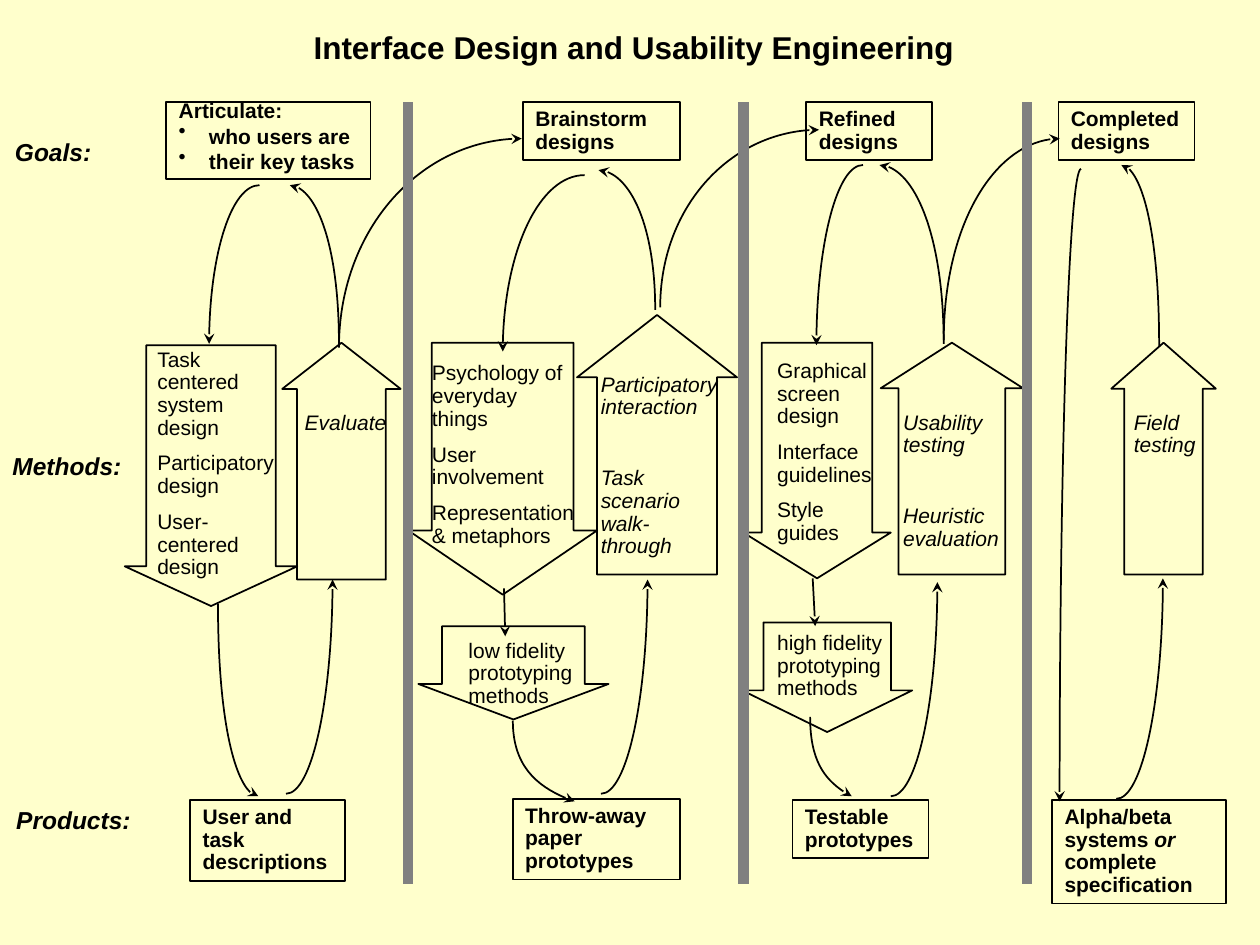
from dataclasses import dataclass

from lxml.etree import SubElement
from pptx import Presentation
from pptx.dml.color import RGBColor
from pptx.enum.shapes import MSO_CONNECTOR, MSO_SHAPE
from pptx.enum.text import MSO_ANCHOR, MSO_AUTO_SIZE, PP_ALIGN
from pptx.oxml.ns import qn
from pptx.util import Inches, Pt

RECT = MSO_SHAPE.RECTANGLE
DOWN = MSO_SHAPE.DOWN_ARROW
UP = MSO_SHAPE.UP_ARROW
STRAIGHT = MSO_CONNECTOR.STRAIGHT
TOP = MSO_ANCHOR.TOP
LEFT = PP_ALIGN.LEFT
GROW = MSO_AUTO_SIZE.SHAPE_TO_FIT_TEXT


@dataclass(frozen=True)
class Theme:
    """Hold the colours, font and sizes."""
    paper: RGBColor = RGBColor(0xFF, 0xFF, 0xCC)
    ink: RGBColor = RGBColor(0, 0, 0)
    bar: RGBColor = RGBColor(0x80, 0x80, 0x80)
    font: str = "Arial"
    title: int = 18
    label: int = 14
    body: int = 12
    thin: int = 1
    thick: int = 6
    gap: float = 7.5
    wide: float = 27.5


THEME = Theme()

GOALS = [
    (4.15, 0.81, 1.25, 0.46, "Brainstorm designs"),
    (6.4, 0.81, 1, 0.46, "Refined designs"),
    (8.4, 0.81, 1.08, 0.46, "Completed designs"),
]
PRODUCTS = [
    (1.51, 6.35, 1.23, 0.64, "User and task descriptions"),
    (4.07, 6.34, 1.33, 0.64, "Throw-away paper prototypes"),
    (6.29, 6.35, 1.08, 0.46, "Testable prototypes"),
    (8.35, 6.35, 1.38, 0.82, "Alpha/beta systems *or* complete specification"),
]
LABELS = [
    (0.02, 1.04, 0.81, "Goals:"),
    (0, 3.53, 1.07, "Methods:"),
    (0.03, 6.34, 1.11, "Products:"),
]
INPUTS = [
    (1.15, 2.72, 1.19, 1.93, ["Task centered system design",
                              "Participatory design", "User-centered design"]),
    (3.33, 2.83, 1.4, 1.85, ["Psychology of everyday \vthings",
                             "User involvement", "Representation & metaphors"]),
    (3.62, 5.03, 1.04, 0.64, ["low fidelity prototyping methods"]),
    (6.07, 2.81, 1.23, 1.57, ["Graphical screen design",
                              "Interface guidelines", "Style \vguides"]),
    (6.07, 4.97, 1.13, 0.64, ["high fidelity prototyping methods"]),
]
TESTS = [
    (2.32, 3.22, 0.92, 0.28, ["Evaluate"]),
    (4.67, 2.92, 1.17, 1.57, ["Participatory interaction",
                              "Task scenario walk-\vthrough"]),
    (7.07, 3.22, 0.96, 1.21, ["Usability testing", "Heuristic evaluation"]),
    (8.9, 3.22, 0.85, 0.46, ["Field testing"]),
]
BLOCKS = [
    (DOWN, 0.99, 2.74, 1.37, 2.07, 0.23),
    (UP, 2.24, 2.72, 0.94, 1.88, 0.39),
    (DOWN, 3.24, 2.72, 1.5, 2, 0.34),
    (DOWN, 3.32, 4.97, 1.51, 0.74, 0.38),
    (UP, 4.58, 2.5, 1.27, 2.06, 0.39),
    (DOWN, 5.9, 2.72, 1.17, 1.87, 0.31),
    (DOWN, 5.89, 4.94, 1.35, 0.87, 0.38),
    (UP, 6.99, 2.72, 1.13, 1.84, 0.32),
    (UP, 8.82, 2.72, 0.83, 1.84, 0.44),
]
TO_FLAT = [
    (4.07, 5.72, 4.56, 6.36, 0.09), (6.43, 5.69, 6.76, 6.32, 0.09),
    (1.73, 4.79, 2.05, 6.32, 0), (2.69, 2.73, 2.3, 1.47, 0),
    (2.69, 2.76, 4.14, 1.1, 0), (5.2, 2.46, 4.75, 1.35, 0),
    (5.24, 2.44, 6.5, 1.03, 0), (7.49, 2.73, 6.98, 1.31, 0),
    (7.49, 2.7, 8.41, 1.1, 0), (9.2, 2.75, 8.9, 1.31, 0),
]
TO_STEEP = [
    (1.66, 2.73, 2.06, 1.47), (2.64, 4.6, 2.27, 6.3),
    (3.99, 2.79, 4.64, 1.39), (5.14, 4.6, 4.77, 6.3),
    (6.48, 2.74, 6.85, 1.31), (7.44, 4.62, 7.07, 6.32),
    (8.41, 6.36, 8.58, 1.34), (9.23, 4.59, 8.86, 6.34),
]
DROPS = [(4, 4.67, 4.01, 5.05), (6.45, 4.59, 6.47, 4.97)]
BARS = [3.24, 5.9, 8.15]


def write(shape, texts, size=THEME.body, bold=False, slant=False,
          lead=0.9, gap=THEME.gap, wrap=True):
    """Fill a shape with paragraphs; stars flip the slant."""
    frame = shape.text_frame
    frame.word_wrap = wrap
    frame.auto_size = GROW
    frame.vertical_anchor = TOP
    for n, text in enumerate(texts):
        para = frame.paragraphs[0] if n == 0 else frame.add_paragraph()
        para.alignment = LEFT
        para.line_spacing = lead
        para.space_before = Pt(gap)
        parts = text.split("*")
        para.text = parts[0]
        for part in parts[1:]:
            para.add_run().text = part
        for k, run in enumerate(para.runs):
            font = run.font
            font.name, font.size = THEME.font, Pt(size)
            font.bold = bold
            font.italic = slant or (len(parts) > 1 and k % 2 == 1)
            font.color.rgb = THEME.ink


def note(slide, x, y, w, h, texts, **style):
    """Add a plain text box."""
    box = slide.shapes.add_textbox(Inches(x), Inches(y), Inches(w), Inches(h))
    write(box, texts, **style)


def trace(shape):
    """Leave only a thin outline."""
    shape.shadow.inherit = False
    shape.fill.background()
    shape.line.color.rgb = THEME.ink
    shape.line.width = Pt(THEME.thin)


def block(slide, kind, x, y, w, h):
    """Add an outlined preset shape."""
    shape = slide.shapes.add_shape(kind, Inches(x), Inches(y), Inches(w), Inches(h))
    trace(shape)
    return shape


def card(slide, x, y, w, h, texts, lead=0.9):
    """Add an outlined box with bold text."""
    shape = block(slide, RECT, x, y, w, h)
    write(shape, texts, bold=True, lead=lead)
    return shape


def dot(para):
    """Give a paragraph a bullet."""
    props = para._p.get_or_add_pPr()
    props.set("marL", str(Inches(0.24)))
    props.set("indent", str(-Inches(0.24)))
    SubElement(props, qn("a:buChar")).set("char", "•")


def tip(shape):
    """Put a stealth head at the end of a line."""
    line = shape._element.spPr.get_or_add_ln()
    SubElement(line, qn("a:tailEnd")).set("type", "stealth")


def arc(slide, x, y, fx, fy, lean=0, flip=False):
    """Draw a quarter arc from its steep end to its flat end."""
    bend = 0.55
    pts = [(x, y), (x, y + bend * (fy - y)),
           (fx - bend * (fx - x), fy - lean), (fx, fy)]
    if flip:
        pts.reverse()
    pts = [(Inches(a), Inches(b)) for a, b in pts]
    pen = slide.shapes.build_freeform(*pts[0])
    pen.add_line_segments(pts[1:], close=False)
    shape = pen.convert_to_shape()
    track = shape._element.find(".//" + qn("a:path"))
    legs = track.findall(qn("a:lnTo"))
    curve = SubElement(track, qn("a:cubicBezTo"))
    for leg in legs:
        curve.append(leg[0])
        track.remove(leg)
    trace(shape)
    tip(shape)


def rule(slide, x, y, ex, ey, color, width):
    """Draw a straight line."""
    line = slide.shapes.add_connector(STRAIGHT, Inches(x), Inches(y), Inches(ex), Inches(ey))
    line.line.color.rgb = color
    line.line.width = Pt(width)
    SubElement(line._element.spPr, qn("a:effectLst"))
    return line


def main():
    """Build and save the slide."""
    deck = Presentation()
    deck.slide_width, deck.slide_height = Inches(10), Inches(7.5)
    slide = deck.slides.add_slide(deck.slide_layouts[6])
    slide.background.fill.solid()
    slide.background.fill.fore_color.rgb = THEME.paper

    first = card(slide, 1.32, 0.81, 1.62, 0.61,
                 ["Articulate:", "who users are", "their key tasks"], lead=0.5)
    for para in first.text_frame.paragraphs[1:]:
        dot(para)
    for *spot, text in GOALS + PRODUCTS:
        card(slide, *spot, [text])
    for x, y, w, text in LABELS:
        note(slide, x, y, w, 0.33, [text], size=THEME.label, bold=True,
             slant=True, lead=1.0, gap=0, wrap=False)
    for item in INPUTS:
        note(slide, *item)
    for item in TESTS:
        note(slide, *item, slant=True, gap=THEME.wide)
    for *spot, head in BLOCKS:
        shape = block(slide, *spot)
        shape.adjustments[0], shape.adjustments[1] = 0.75, head
    for item in TO_FLAT:
        arc(slide, *item)
    for item in TO_STEEP:
        arc(slide, *item, flip=True)
    for item in DROPS:
        tip(rule(slide, *item, THEME.ink, THEME.thin))
    for x in BARS:
        rule(slide, x, 0.81, x, 7.02, THEME.bar, THEME.thick)
    note(slide, 2.39, 0.17, 5.29, 0.4, ["Interface Design and Usability Engineering"],
         size=THEME.title, bold=True, lead=1.0, gap=0, wrap=False)
    deck.save("out.pptx")


if __name__ == "__main__":
    main()
